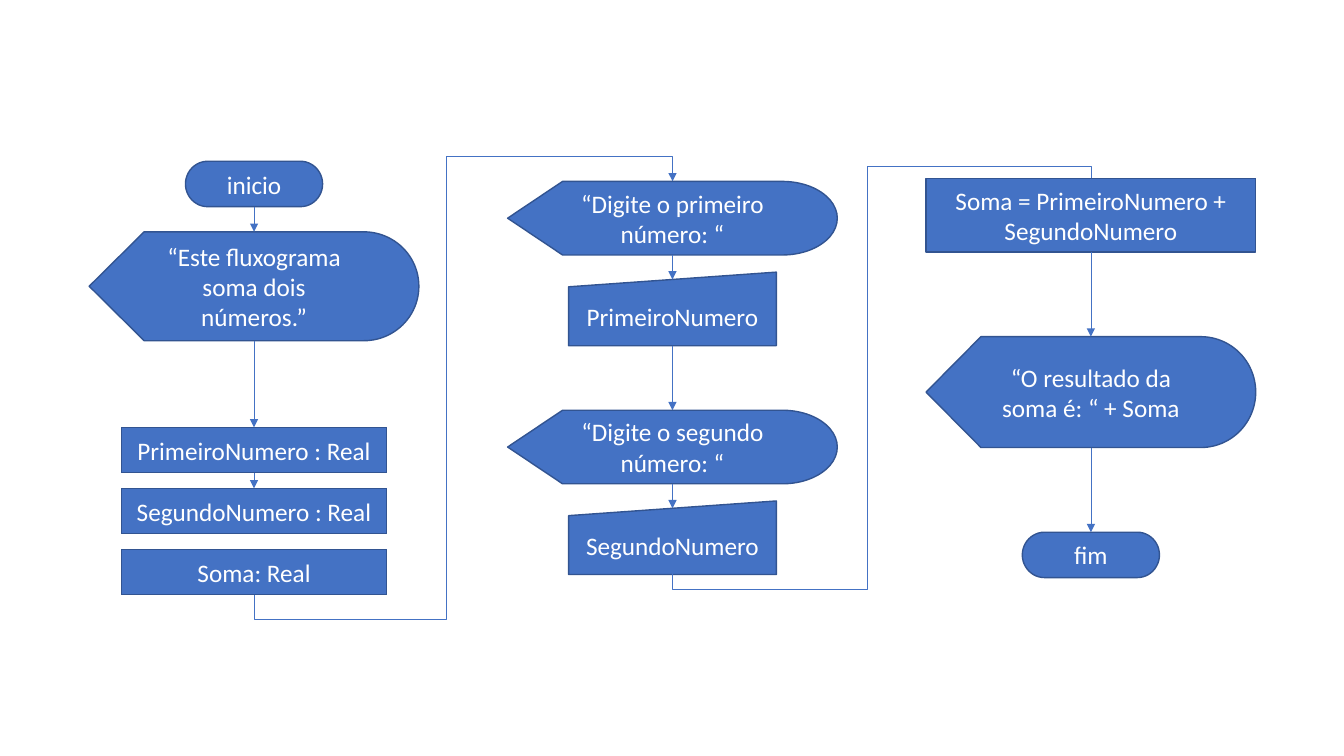
from dataclasses import dataclass

from pptx import Presentation
from pptx.dml.color import RGBColor
from pptx.enum.shapes import MSO_CONNECTOR, MSO_SHAPE
from pptx.enum.text import MSO_ANCHOR, PP_ALIGN
from pptx.oxml.ns import qn
from pptx.util import Inches, Pt
from lxml.etree import SubElement


@dataclass(frozen=True)
class Theme:
    fill: RGBColor = RGBColor(0x44, 0x72, 0xC4)
    edge: RGBColor = RGBColor(0x32, 0x54, 0x91)
    text: RGBColor = RGBColor(0xFF, 0xFF, 0xFF)
    font: str = "Calibri"
    size: int = 18
    border: float = 1
    wire: float = 0.5


class Chart:
    """Flowchart drawn on one slide in one style."""

    def __init__(self, slide, theme):
        self.shapes = slide.shapes
        self.theme = theme

    def node(self, kind, text, mid, top, width, height):
        """Add a box whose horizontal centre is mid."""
        look = self.theme
        box = self.shapes.add_shape(kind, Inches(mid - width / 2), Inches(top),
                                    Inches(width), Inches(height))
        box.shadow.inherit = False
        box.fill.solid()
        box.fill.fore_color.rgb = look.fill
        box.line.color.rgb = look.edge
        box.line.width = Pt(look.border)
        frame = box.text_frame
        frame.word_wrap = True
        frame.vertical_anchor = MSO_ANCHOR.MIDDLE
        frame.text = text
        para = frame.paragraphs[0]
        para.alignment = PP_ALIGN.CENTER
        font = para.runs[0].font
        font.name = look.font
        font.size = Pt(look.size)
        font.color.rgb = look.text
        return box

    def start_end(self, text, mid, top):
        return self.node(MSO_SHAPE.FLOWCHART_TERMINATOR, text, mid, top, 1.36, 0.45)

    def show(self, text, mid, top, height):
        return self.node(MSO_SHAPE.FLOWCHART_DISPLAY, text, mid, top, 3.27, height)

    def step(self, text, mid, top, width, height):
        return self.node(MSO_SHAPE.FLOWCHART_PROCESS, text, mid, top, width, height)

    def input(self, text, mid, top):
        return self.node(MSO_SHAPE.FLOWCHART_MANUAL_INPUT, text, mid, top, 2.06, 0.73)

    def wire(self, kind, x1, y1, x2, y2):
        """Add a thin connector with an arrowhead at its end."""
        line = self.shapes.add_connector(kind, x1, y1, x2, y2)
        line.line.color.rgb = self.theme.fill
        line.line.width = Pt(self.theme.wire)
        SubElement(line.line._get_or_add_ln(), qn("a:tailEnd"), type="triangle")
        SubElement(line._element.spPr, qn("a:effectLst"))
        return line

    def arrow(self, src, dst):
        """Join the bottom of src to the top of dst."""
        mid = src.left + src.width // 2
        line = self.wire(MSO_CONNECTOR.STRAIGHT, mid, src.top + src.height, mid, dst.top)
        line.begin_connect(src, 2)
        line.end_connect(dst, 0)
        if dst.auto_shape_type == MSO_SHAPE.FLOWCHART_MANUAL_INPUT:
            line.end_y = dst.top + dst.height // 10  # middle of the slanted edge

    def climb(self, x1, y1, x2, y2, turn, gap=0.25):
        """Leave downwards, rise at x = turn and enter the next column from above."""
        rise, run = y1 - y2, x2 - x1
        cx, cy = (x1 + x2) / 2, (y1 + y2) / 2
        line = self.wire(MSO_CONNECTOR.ELBOW,
                         Inches(cx + rise / 2), Inches(cy + run / 2),
                         Inches(cx - rise / 2), Inches(cy - run / 2))
        props = line._element.spPr
        props.find(qn("a:xfrm")).set("rot", str(90 * 60000))
        shape = props.find(qn("a:prstGeom"))
        shape.set("prst", "bentConnector5")
        bends = shape.find(qn("a:avLst"))
        for i, part in enumerate((-gap / rise, (turn - x1) / run, 1 + gap / rise), 1):
            SubElement(bends, qn("a:gd"), name=f"adj{i}", fmla=f"val {round(part * 100000)}")


def main():
    deck = Presentation()
    deck.slide_width, deck.slide_height = Inches(13.33), Inches(7.5)
    chart = Chart(deck.slides.add_slide(deck.slide_layouts[6]), Theme())
    left, mid, right = (2.52 + 4.15 * i for i in range(3))

    begin = chart.start_end("inicio", left, 1.6)
    intro = chart.show("“Este fluxograma soma dois números.”", left, 2.3, 1.08)
    names = ("PrimeiroNumero : Real", "SegundoNumero : Real", "Soma: Real")
    first, second, _ = [chart.step(name, left, 4.24 + 0.605 * i, 2.63, 0.45)
                        for i, name in enumerate(names)]
    for src, dst in ((begin, intro), (intro, first), (first, second)):
        chart.arrow(src, dst)
    chart.climb(left, 5.9, mid, 1.8, turn=4.43)

    last = None
    for top, rank, name in ((1.8, "primeiro", "PrimeiroNumero"),
                            (4.07, "segundo", "SegundoNumero")):
        ask = chart.show(f"“Digite o {rank} número: “", mid, top, 0.73)
        read = chart.input(name, mid, top + 0.9)
        chart.arrow(ask, read)
        if last:
            chart.arrow(last, ask)
        last = read
    chart.climb(mid, 5.6, right, 1.9, turn=8.6)

    total = chart.step("Soma = PrimeiroNumero + SegundoNumero", right, 1.77, 3.27, 0.73)
    result = chart.show("“O resultado da soma é: “ + Soma", right, 3.34, 1.1)
    end = chart.start_end("fim", right, 5.28)
    chart.arrow(total, result)
    chart.arrow(result, end)

    deck.save("out.pptx")


if __name__ == "__main__":
    main()
